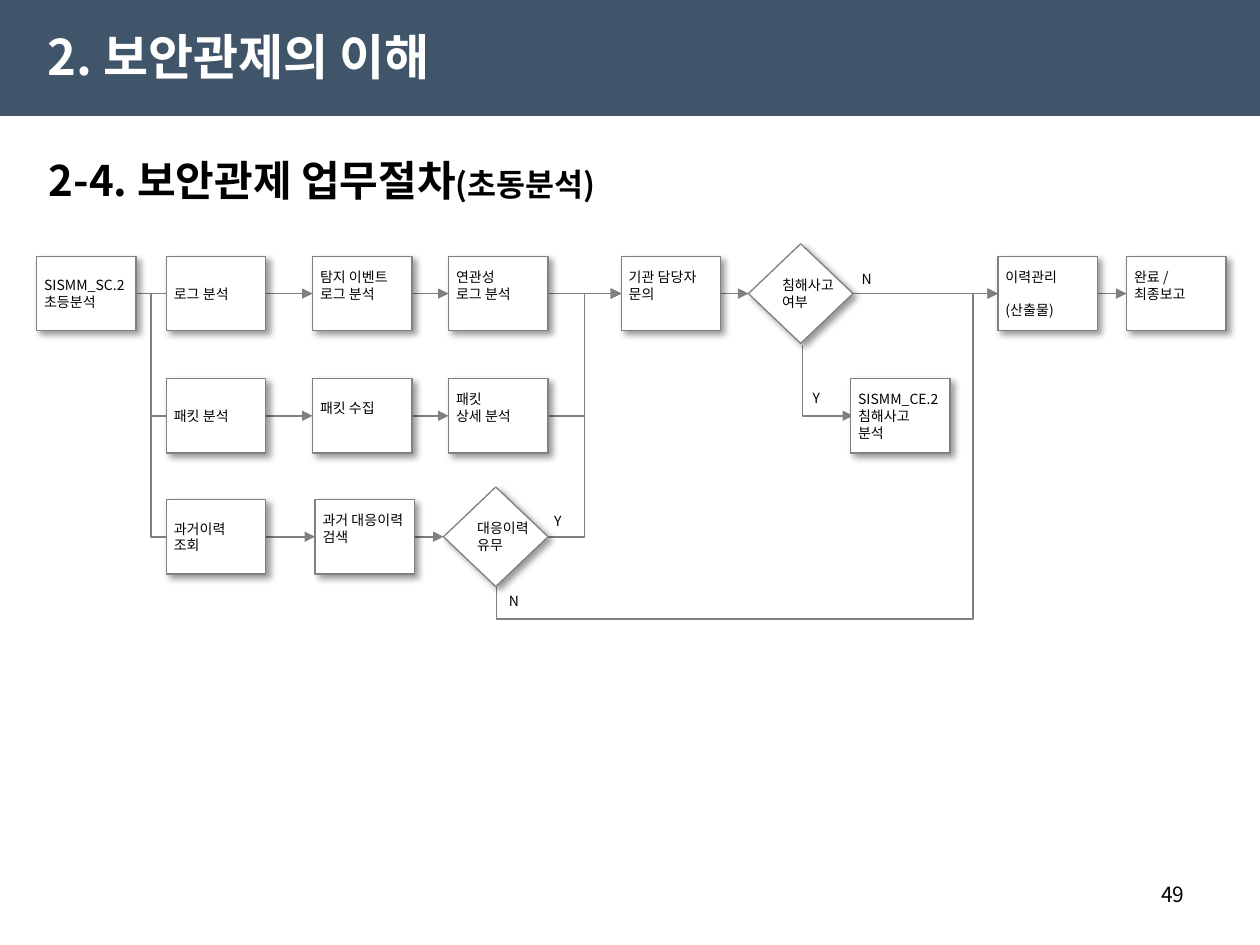
from lxml import etree
from pptx import Presentation
from pptx.dml.color import RGBColor
from pptx.enum.shapes import MSO_CONNECTOR, MSO_SHAPE
from pptx.enum.text import MSO_ANCHOR, PP_ALIGN
from pptx.oxml import parse_xml
from pptx.oxml.ns import nsdecls, qn
from pptx.util import Inches, Pt

FONT = "Noto Sans CJK KR"
WHITE = RGBColor(0xFF, 0xFF, 0xFF)
BLACK = RGBColor(0, 0, 0)
GRAY = RGBColor(0x80, 0x80, 0x80)
NAVY = RGBColor(0x40, 0x54, 0x6A)

BOX_WIDTH, BOX_HEIGHT = 0.79, 0.59
DECISION_WIDTH, DECISION_HEIGHT = 0.83, 0.79
ROWS = [2.33, 3.3, 4.26]
LINE_HEIGHT = 0.13

BOXES = [
    (0.29, 0, ["SISMM_SC.2", "초등분석"], 0),
    (1.32, 0, ["로그 분석"], 0),
    (2.48, 0, ["탐지 이벤트", "로그 분석"], 1),
    (3.56, 0, ["연관성", "로그 분석"], 1),
    (4.93, 0, ["기관 담당자", "문의"], 1),
    (8.94, 0, ["완료 /", "최종보고"], 1),
    (1.32, 1, ["패킷 분석"], 0),
    (2.48, 1, ["패킷 수집"], 1),
    (3.56, 1, ["패킷", "상세 분석"], 1),
    (6.75, 1, ["SISMM_CE.2", "침해사고", "분석"], 0),
    (1.32, 2, ["과거이력", "조회"], 0),
    (2.5, 2, ["과거 대응이력", "검색"], 1),
]
DECISIONS = [
    (5.94, 0, ["침해사고", "여부"]),
    (3.52, 2, ["대응이력", "유무"]),
]
ARROWS = [
    (0, 2.1, 2.48), (0, 3.27, 3.56), (0, 4.35, 4.93),
    (0, 5.72, 5.94), (0, 6.77, 7.92), (0, 8.7, 8.94),
    (1, 2.1, 2.48), (1, 3.27, 3.56),
    (2, 2.1, 2.5), (2, 3.28, 3.52),
]
ANSWERS = [
    ("Y", 6.35, 3.04), ("N", 6.74, 2.1),
    ("Y", 4.3, 4.02), ("N", 3.94, 4.65),
]


def add_run(paragraph, text, size, color=BLACK, bold=False):
    run = paragraph.add_run()
    run.text = text
    font = run.font
    font.name, font.size, font.bold = FONT, Pt(size), bold
    font.color.rgb = color
    properties = run._r.get_or_add_rPr()
    etree.SubElement(properties, qn("a:ea"), typeface=FONT)


def add_label(slide, left, top, width, height, runs, color=BLACK, bold=False,
              anchor=MSO_ANCHOR.TOP, align=PP_ALIGN.LEFT, wrap=True):
    box = slide.shapes.add_textbox(
        Inches(left), Inches(top), Inches(width), Inches(height))
    frame = box.text_frame
    frame.word_wrap = wrap
    frame.vertical_anchor = anchor
    paragraph = frame.paragraphs[0]
    paragraph.alignment = align
    for text, size in runs:
        add_run(paragraph, text, size, color, bold)


def add_shadow(shape):
    shape._element.spPr.append(parse_xml(
        f'<a:effectLst {nsdecls("a")}>'
        f'<a:outerShdw blurRad="{Pt(4)}" dist="{Pt(3)}" dir="2700000" '
        'algn="tl" rotWithShape="0"><a:srgbClr val="000000">'
        '<a:alpha val="40000"/></a:srgbClr></a:outerShdw></a:effectLst>'))


def add_step(slide, kind, left, row, width, height, lines, raised=0):
    shape = slide.shapes.add_shape(
        kind, Inches(left), Inches(ROWS[row] - height / 2),
        Inches(width), Inches(height))
    shape.fill.solid()
    shape.fill.fore_color.rgb = WHITE
    shape.line.color.rgb = GRAY
    shape.line.width = Pt(0.75)
    add_shadow(shape)
    frame = shape.text_frame
    frame.word_wrap = False
    frame.vertical_anchor = MSO_ANCHOR.MIDDLE
    frame.margin_left = frame.margin_right = Inches(0.06)
    frame.margin_top = Inches(0.03)
    frame.margin_bottom = Inches(0.03 + raised * LINE_HEIGHT)
    for index, line in enumerate(lines):
        paragraph = frame.paragraphs[0] if index == 0 else frame.add_paragraph()
        paragraph.alignment = PP_ALIGN.LEFT
        add_run(paragraph, line, 8)
    return shape


def add_link(slide, start, end, kind=MSO_CONNECTOR.STRAIGHT, arrow=True):
    link = slide.shapes.add_connector(
        kind, *[Inches(value) for value in (*start, *end)])
    link.line.color.rgb = GRAY
    link.line.width = Pt(1)
    if arrow:
        etree.SubElement(link.line._get_or_add_ln(), qn("a:headEnd"), type="triangle")
    etree.SubElement(link._element.spPr, qn("a:effectLst"))
    return link


def set_bend(link, preset, *adjustments):
    geometry = link._element.spPr.find(qn("a:prstGeom"))
    geometry.set("prst", preset)
    guides = geometry.find(qn("a:avLst"))
    for number, value in enumerate(adjustments, 1):
        etree.SubElement(guides, qn("a:gd"), name=f"adj{number}",
                         fmla=f"val {round(value * 100000)}")


def add_links(slide):
    elbow = MSO_CONNECTOR.ELBOW
    add_link(slide, (1.08, ROWS[0]), (1.32, ROWS[0]), arrow=False)
    for row in ROWS[1:]:
        add_link(slide, (1.08, ROWS[0]), (1.32, row), elbow, arrow=False)
        add_link(slide, (4.93, ROWS[0]), (4.35, row), elbow)
    for row, source, target in ARROWS:
        add_link(slide, (target, ROWS[row]), (source, ROWS[row]))
    incident = add_link(slide, (6.77, ROWS[1]), (6.37, 2.74), elbow)
    set_bend(incident, "bentConnector2")
    no_history = add_link(slide, (7.92, ROWS[0]), (3.94, 4.66), elbow)
    set_bend(no_history, "bentConnector4", 0.05, 1.11)


def add_heading(slide):
    band = slide.shapes.add_shape(
        MSO_SHAPE.RECTANGLE, 0, 0, Inches(10), Inches(0.92))
    band.shadow.inherit = False
    band.fill.solid()
    band.fill.fore_color.rgb = NAVY
    band.line.fill.background()
    add_label(slide, 0.28, 0.13, 4.72, 0.63, [("2. 보안관제의 이해", 28)],
              WHITE, True, MSO_ANCHOR.MIDDLE)
    add_label(slide, 0.29, 1.15, 9.43, 0.55,
              [("2-4. 보안관제 업무절차", 24), ("(초동분석)", 18)],
              bold=True, anchor=MSO_ANCHOR.MIDDLE)


def main():
    presentation = Presentation()
    presentation.slide_width, presentation.slide_height = Inches(10), Inches(7.5)
    slide = presentation.slides.add_slide(presentation.slide_layouts[6])
    add_heading(slide)
    add_links(slide)
    for left, row, lines, raised in BOXES:
        add_step(slide, MSO_SHAPE.RECTANGLE, left, row,
                 BOX_WIDTH, BOX_HEIGHT, lines, raised)
    history = add_step(slide, MSO_SHAPE.RECTANGLE, 7.92, 0,
                       BOX_WIDTH, BOX_HEIGHT, ["이력관리", "(산출물)"])
    history.text_frame.paragraphs[1].space_before = Inches(LINE_HEIGHT)
    for left, row, lines in DECISIONS:
        add_step(slide, MSO_SHAPE.FLOWCHART_DECISION, left, row,
                 DECISION_WIDTH, DECISION_HEIGHT, lines)
    for text, left, top in ANSWERS:
        add_label(slide, left, top, 0.28, 0.24, [(text, 8)], wrap=False)
    add_label(slide, 7.17, 6.95, 2.33, 0.4, [("49", 12)], align=PP_ALIGN.RIGHT)
    presentation.save("out.pptx")


if __name__ == "__main__":
    main()
